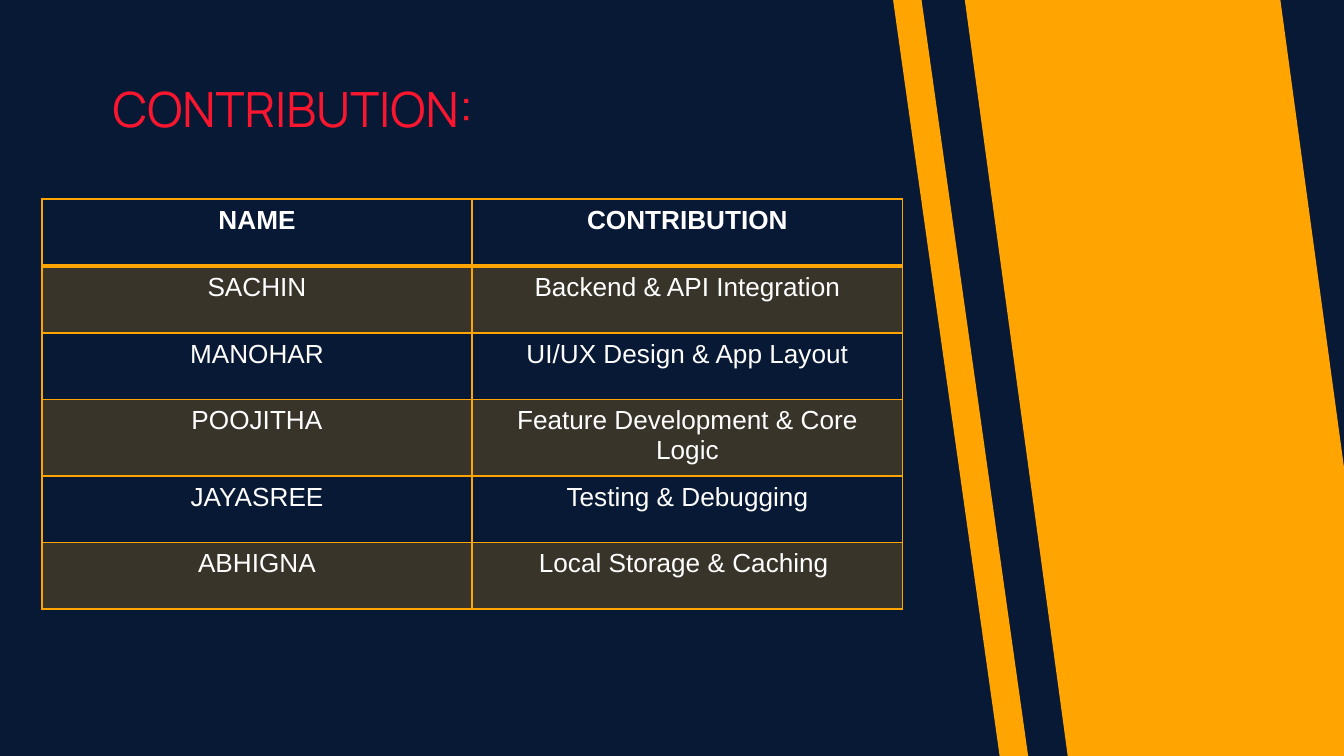
from lxml import etree
from pptx import Presentation
from pptx.dml.color import RGBColor
from pptx.enum.shapes import MSO_SHAPE
from pptx.enum.text import MSO_ANCHOR, PP_ALIGN
from pptx.oxml.ns import qn
from pptx.util import Pt

COLORS = {"navy": "081935", "amber": "FFA400", "red": "FA162E", "white": "FFFFFF"}


def add_run(paragraph, text, font, size, color, bold=False):
    run = paragraph.add_run()
    run.text = text
    run.font.name = font
    run.font.size = Pt(size)
    run.font.bold = bold
    run.font.color.rgb = RGBColor.from_string(COLORS[color])


def set_cell_borders(cell, bottom_width, top_width):
    properties = cell._tc.get_or_add_tcPr()
    widths = {"a:lnL": 1, "a:lnR": 1, "a:lnT": top_width, "a:lnB": bottom_width}
    for position, (tag, width) in enumerate(widths.items()):
        line = etree.Element(qn(tag), w=str(Pt(width)))
        fill = etree.SubElement(line, qn("a:solidFill"))
        etree.SubElement(fill, qn("a:srgbClr"), val=COLORS["amber"])
        properties.insert(position, line)


prs = Presentation()
prs.slide_width, prs.slide_height = Pt(720), Pt(405)
slide = prs.slides.add_slide(prs.slide_layouts[6])
slide.background.fill.solid()
slide.background.fill.fore_color.rgb = RGBColor.from_string(COLORS["navy"])

# Slanted bands: left, top, width, height, slant
bands = [(478.2, -1.4, 72.7, 407.5, 0.79), (516.3, -4.3, 225.4, 414, 0.25)]
for left, top, width, height, slant in bands:
    band = slide.shapes.add_shape(
        MSO_SHAPE.PARALLELOGRAM, Pt(left), Pt(top), Pt(width), Pt(height))
    band.adjustments[0] = slant
    band.rotation = 180
    band._element.spPr.find(qn("a:xfrm")).set("flipH", "1")
    band.shadow.inherit = False
    band.fill.solid()
    band.fill.fore_color.rgb = RGBColor.from_string(COLORS["amber"])
    band.line.fill.background()

title = slide.shapes.add_textbox(Pt(53.3), Pt(35.3), Pt(400.3), Pt(41)).text_frame
title.word_wrap = True
title.vertical_anchor = MSO_ANCHOR.TOP
title.margin_left = title.margin_right = Pt(7.2)
title.margin_top = title.margin_bottom = Pt(7.2)
add_run(title.paragraphs[0], "CONTRIBUTION:", "Manrope", 26, "red")

contributions = [
    ("NAME", "CONTRIBUTION"),
    ("SACHIN", "Backend & API Integration"),
    ("MANOHAR", "UI/UX Design & App Layout"),
    ("POOJITHA", "Feature Development & Core Logic"),
    ("JAYASREE", "Testing & Debugging"),
    ("ABHIGNA", "Local Storage & Caching "),
]
row_height, column_width = 35.8, 230.6
table = slide.shapes.add_table(
    len(contributions), 2, Pt(22.4), Pt(106.7),
    Pt(2 * column_width), Pt(len(contributions) * row_height)).table
for column in table.columns:
    column.width = Pt(column_width)
for row_index, entries in enumerate(contributions):
    table.rows[row_index].height = Pt(row_height)
    for column_index, entry in enumerate(entries):
        cell = table.cell(row_index, column_index)
        if row_index % 2:
            cell.fill.solid()
            cell.fill.fore_color.rgb = RGBColor.from_string(COLORS["amber"])
            tint = cell._tc.tcPr.find(".//" + qn("a:srgbClr"))
            etree.SubElement(tint, qn("a:alpha"), val="20000")
        else:
            cell.fill.background()
        set_cell_borders(cell, bottom_width=2 if row_index == 0 else 1,
                         top_width=2 if row_index == 1 else 1)
        paragraph = cell.text_frame.paragraphs[0]
        paragraph.alignment = PP_ALIGN.CENTER
        add_run(paragraph, entry, "Arial", 14, "white", bold=row_index == 0)

prs.save("out.pptx")
